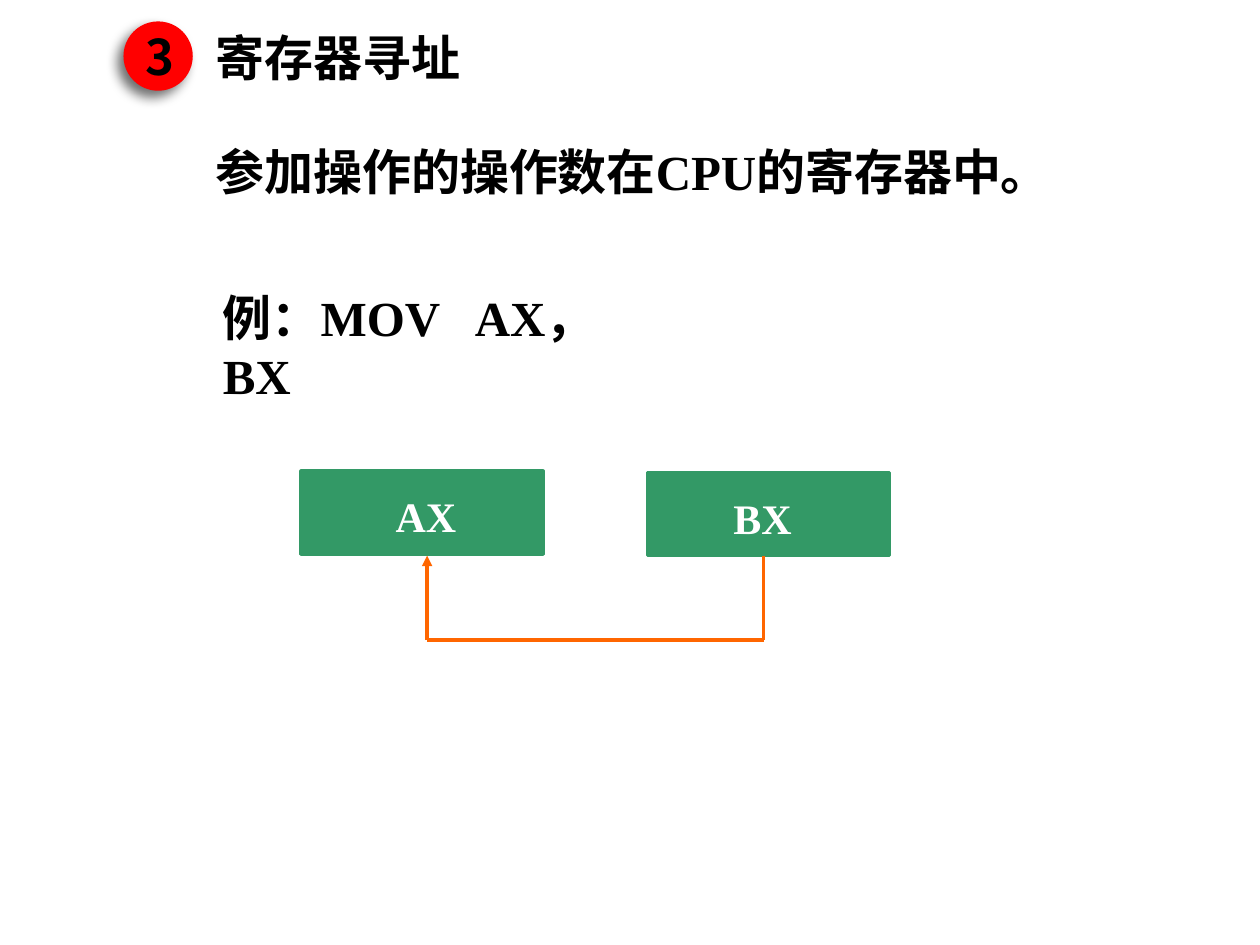
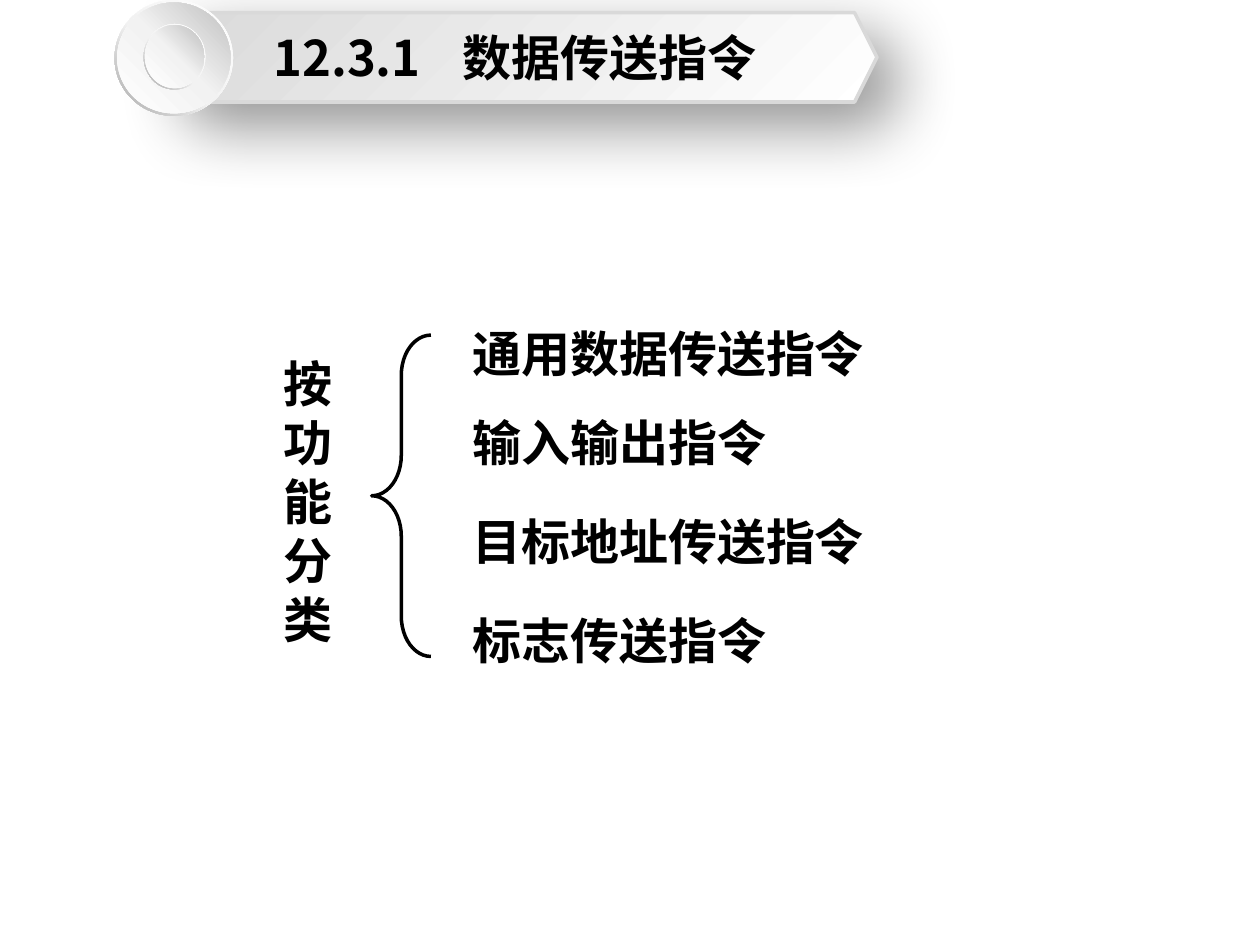
from dataclasses import dataclass
from itertools import pairwise

from lxml import etree
from pptx import Presentation
from pptx import util as u
from pptx.dml.color import RGBColor
from pptx.enum import shapes, text
from pptx.oxml import parse_xml
from pptx.oxml.ns import nsdecls, qn


@dataclass(frozen=True)
class Theme:
    ink: str = "000000"
    white: str = "FFFFFF"
    badge: str = "FF0000"
    register: str = "339966"
    arrow: str = "FF6600"
    silver: str = "D9D9D9"
    sans: str = "Calibri"
    cjk: str = "Noto Sans CJK SC"
    serif: str = "Times New Roman"
    main: int = 28
    label: int = 24
    stroke: int = 2


T = Theme()
MSO = shapes.MSO_SHAPE
LEFT, CENTER = text.PP_ALIGN.LEFT, text.PP_ALIGN.CENTER
TOP, MIDDLE = text.MSO_ANCHOR.TOP, text.MSO_ANCHOR.MIDDLE


def write(sp, lines, box=None, font=T.sans, size=T.main, color=T.ink,
          align=LEFT, anchor=TOP, tab=None, gaps=(0,)):
    if box:
        sp.left, sp.top, sp.width, sp.height = map(u.Inches, box)
    tf = sp.text_frame
    tf.word_wrap = True
    tf.auto_size = text.MSO_AUTO_SIZE.NONE
    tf.vertical_anchor = anchor
    for i, line in enumerate(lines):
        p = tf.add_paragraph() if i else tf.paragraphs[0]
        pPr = p._p.get_or_add_pPr()
        pPr.set("marL", "0")
        pPr.set("indent", "0")
        etree.SubElement(pPr, qn("a:buNone"))
        if tab:
            tabs = etree.SubElement(pPr, qn("a:tabLst"))
            etree.SubElement(tabs, qn("a:tab"), pos=str(u.Inches(tab)), algn="l")
        p.alignment = align
        p.space_before = u.Pt(gaps[i])
        r = p.add_run()
        r.text = line
        r.font.name = font
        r.font.size = u.Pt(size)
        r.font.bold = True
        r.font.color.rgb = RGBColor.from_string(color)
        latin = r.font._element.find(qn("a:latin"))
        latin.addnext(parse_xml(f'<a:ea {nsdecls("a")} typeface="{T.cjk}"/>'))


def draw(s, kind, box, fill=None, line=None, shadow=None, angle=0):
    sp = s.shapes.add_shape(kind, *map(u.Inches, box))
    sp.shadow.inherit = False
    if fill is None:
        sp.fill.background()
    elif isinstance(fill, str):
        sp.fill.solid()
        sp.fill.fore_color.rgb = RGBColor.from_string(fill)
    else:
        sp.fill.gradient()
        sp.fill.gradient_angle = 360 - angle
        stops = sp.element.spPr.find(".//" + qn("a:gsLst"))
        for old in list(stops):
            stops.remove(old)
        for pos, color in fill:
            stops.append(parse_xml(
                f'<a:gs {nsdecls("a")} pos="{pos * 1000}"><a:srgbClr val="{color}"/></a:gs>'))
    if line:
        sp.line.color.rgb = RGBColor.from_string(line)
        sp.line.width = u.Pt(T.stroke)
    else:
        sp.line.fill.background()
    if shadow:
        alpha, blur, dist, direction = shadow
        sp.element.spPr.find(qn("a:effectLst")).append(parse_xml(
            f'<a:outerShdw {nsdecls("a")} blurRad="{u.Pt(blur)}" dist="{u.Pt(dist)}" '
            f'dir="{direction * 60000}" algn="ctr" rotWithShape="0">'
            f'<a:srgbClr val="{T.ink}"><a:alpha val="{alpha * 1000}"/></a:srgbClr></a:outerShdw>'))
    return sp


prs = Presentation()
prs.slide_width, prs.slide_height = u.Inches(10), u.Inches(7.5)
layout = prs.slide_layouts[1]

s = prs.slides.add_slide(layout)
write(s.shapes.title, ["寄存器寻址"], (1.61, 0.17, 2.4, 0.57))
write(s.placeholders[1], ["参加操作的操作数在CPU的寄存器中。"],
      (1.61, 1.07, 7.2, 0.57), font=T.serif)
badge = draw(s, MSO.OVAL, (0.98, 0.17, 0.55, 0.55), T.badge, shadow=(57, 7, 5, 135))
write(badge, ["3"], font=T.cjk, align=CENTER, anchor=MIDDLE)
example = s.shapes.add_textbox(0, 0, 0, 0)
write(example, ["例：MOV\tAX，BX"], (1.67, 2.23, 3.62, 1.04), font=T.serif, tab=1.98)

for name, x, y, inset in (("AX", 2.39, 3.74, 0.75), ("BX", 5.14, 3.75, 0.68)):
    sp = draw(s, MSO.RECTANGLE, (x, y, 1.92, 0.66), T.register, T.register)
    write(sp, [name], font=T.serif, size=T.label, color=T.white, anchor=MIDDLE)
    sp.text_frame.margin_left = u.Inches(inset)
    sp.text_frame.margin_top = u.Inches(0.1)

route = [(6.06, 4.41), (6.06, 5.08), (3.39, 5.08), (3.39, 4.41)]
for start, end in pairwise(route):
    cx = s.shapes.add_connector(shapes.MSO_CONNECTOR.STRAIGHT, *map(u.Inches, start + end))
    cx.line.color.rgb = RGBColor.from_string(T.arrow)
    cx.line.width = u.Pt(T.stroke)
    etree.SubElement(cx.element.spPr, qn("a:effectLst"))
    if end == route[-1]:
        etree.SubElement(cx.line._get_or_add_ln(), qn("a:tailEnd"), type="triangle")

s = prs.slides.add_slide(layout)
draw(s, MSO.HEXAGON, (1.22, 0.1, 5.74, 0.71), [(0, T.white), (100, T.silver)],
     T.silver, (42, 38, 19, 45), 225)
rim = [(0, T.white), (55, "F2F2F2"), (100, "A6A6A6")]
face = [(0, T.white), (51, "F2F2F2"), (100, "BFBFBF")]
for ring, disc in (((0.91, 0, 0.94, 0.92), (0.93, 0.02, 0.9, 0.88)),
                   ((1.14, 0.19, 0.49, 0.52), (1.15, 0.2, 0.47, 0.5))):
    draw(s, MSO.DONUT, ring, rim, angle=135).adjustments[0] = 0.05
    draw(s, MSO.OVAL, disc, face, angle=315)
title = s.shapes.title
write(title, ["12.3.1\t数据传送指令"], (2.07, 0.1, 4.6, 0.71),
      font=T.cjk, anchor=MIDDLE, tab=1.53)
s.shapes.element.append(title.element)

write(s.placeholders[1], ["通用数据传送指令", "输入输出指令", "目标地址传送指令", "标志传送指令"],
      (3.65, 2.52, 3.6, 2.85), gaps=(0, 17, 23, 23))
category = s.shapes.add_textbox(0, 0, 0, 0)
write(category, ["按功能分类"], (2.15, 2.76, 0.49, 2.46))
brace = draw(s, MSO.LEFT_BRACE, (2.95, 2.66, 0.47, 2.55), line=T.ink)
brace.adjustments[0] = 0.68

prs.save("out.pptx")
